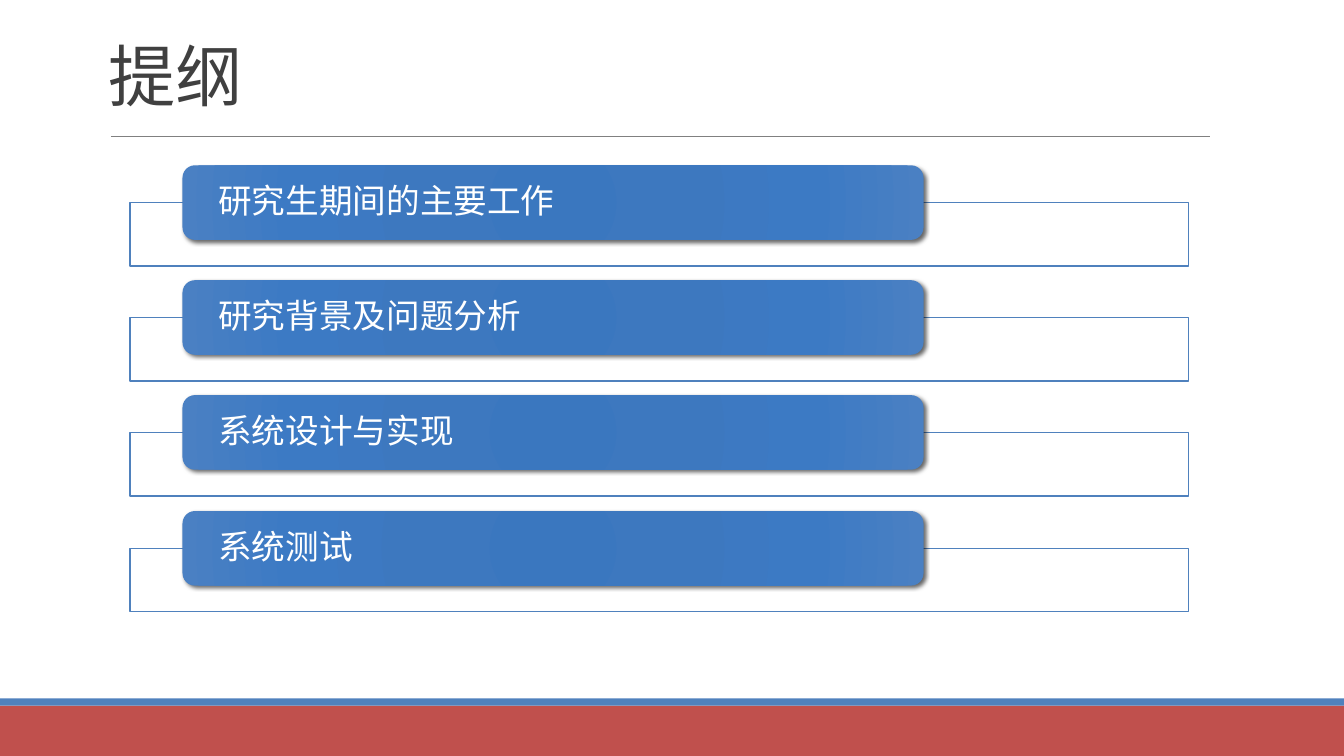
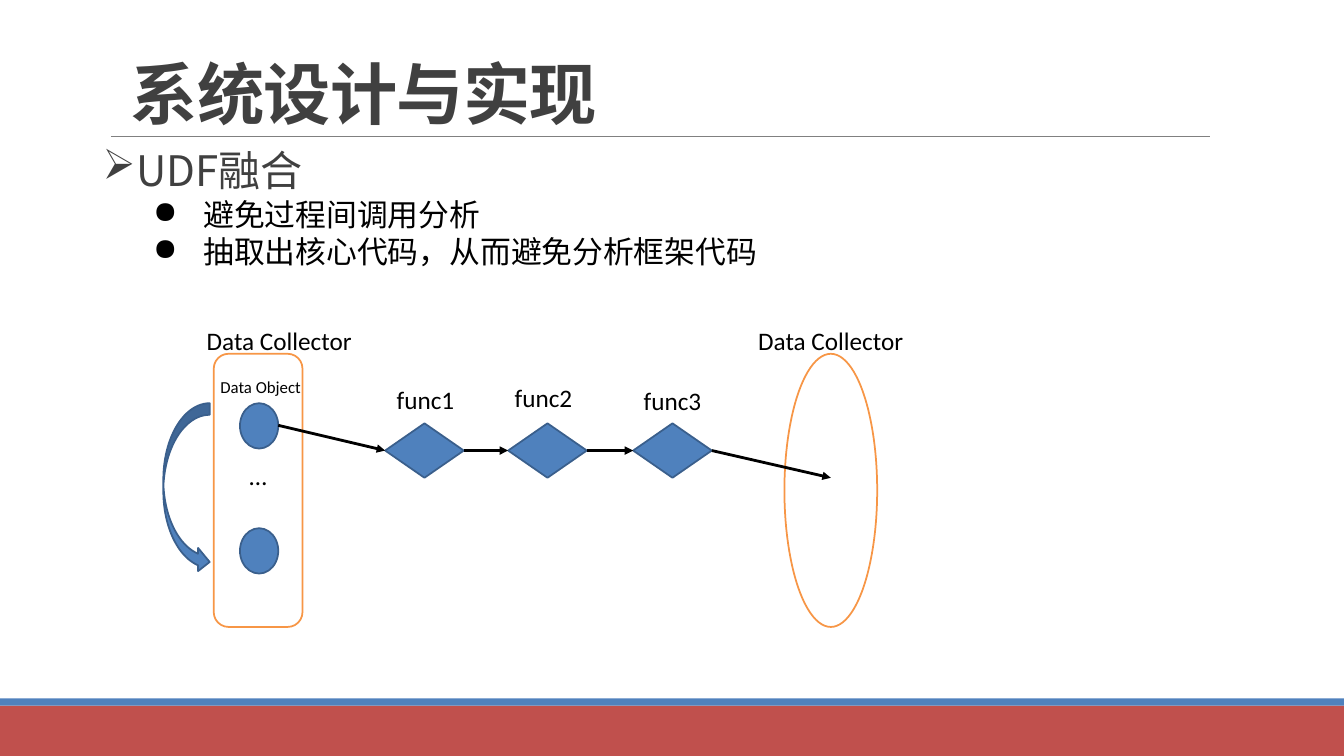
from dataclasses import dataclass, field
from typing import Any, NamedTuple, Optional

import pptx
import pptx.dml.color
import pptx.enum.shapes
import pptx.enum.text
import pptx.oxml
import pptx.oxml.ns
import pptx.util
from lxml import etree

RGB = pptx.dml.color.RGBColor
KIND = pptx.enum.shapes.MSO_SHAPE
ANCHOR = pptx.enum.text.MSO_ANCHOR
ALIGN = pptx.enum.text.PP_ALIGN
Pt = pptx.util.Pt
qn = pptx.oxml.ns.qn

WHITE = RGB(0xFF, 0xFF, 0xFF)
BLACK = RGB(0x00, 0x00, 0x00)
RED = RGB(0xC0, 0x50, 0x4D)
BLUE = RGB(0x4F, 0x81, 0xBD)
NAVY = RGB(0x3A, 0x5F, 0x8C)
AMBER = RGB(0xF7, 0x96, 0x46)
GRAY = RGB(0x80, 0x80, 0x80)
DARK = RGB(0x40, 0x40, 0x40)
STOPS = (
    (0, RGB(0x3A, 0x77, 0xBF)),
    (34, RGB(0x3D, 0x78, 0xBF)),
    (70, RGB(0x3C, 0x7A, 0xC4)),
    (100, RGB(0x4A, 0x80, 0xC3)),
)
NS = pptx.oxml.ns.nsdecls("a")
SCALE = 9144
WIDE, HIGH = 1333, 750


class Box(NamedTuple):
    x: int
    y: int
    w: int
    h: int


@dataclass
class Form:
    box: Box
    kind: Any = KIND.RECTANGLE
    fill: Optional[RGB] = BLUE
    edge: Optional[RGB] = None
    weight: float = 1.25


@dataclass
class Line:
    text: str
    font: dict
    para: dict = field(default_factory=dict)
    mark: str = ""
    left: int = 0
    hang: int = 0
    track: int = 0


def px(size: int) -> int:
    return size * SCALE


def style(item: Any, form: dict) -> None:
    for key, value in form.items():
        setattr(item, key, value)


def face(name: str, size: int, color: RGB, bold: bool = False) -> dict:
    return {"name": name, "size": Pt(size), "bold": bold, "color": color}


def write(shape: Any, lines: list[Line], frame: dict) -> None:
    body = shape.text_frame
    style(body, frame)
    for spot, line in enumerate(lines):
        para = body.add_paragraph() if spot else body.paragraphs[0]
        style(para, line.para)
        run = para.add_run()
        run.text = line.text
        style(run.font, {k: v for k, v in line.font.items() if k != "color"})
        run.font.color.rgb = line.font["color"]
        if line.track:
            run.font._element.set("spc", str(line.track))
        if line.mark:
            props = para._p.get_or_add_pPr()
            props.set("marL", str(px(line.left)))
            props.set("indent", str(-px(line.hang)))
            etree.SubElement(props, qn("a:buChar")).set("char", line.mark)


def draw(slide: Any, form: Form) -> Any:
    shape = slide.shapes.add_shape(form.kind, *map(px, form.box))
    shape.shadow.inherit = False
    if form.fill is None:
        shape.fill.background()
    else:
        shape.fill.solid()
        shape.fill.fore_color.rgb = form.fill
    if form.edge is None:
        shape.line.fill.background()
    else:
        shape.line.color.rgb = form.edge
        shape.line.width = Pt(form.weight)
    return shape


def label(slide: Any, box: Box, lines: list[Line], frame: dict) -> None:
    write(slide.shapes.add_textbox(*map(px, box)), lines, frame)


def link(slide: Any, start: tuple[int, int], end: tuple[int, int],
         color: RGB, weight: float, arrow: bool = False) -> Any:
    wire = slide.shapes.add_connector(
        pptx.enum.shapes.MSO_CONNECTOR.STRAIGHT, *map(px, start + end))
    wire.line.color.rgb = color
    wire.line.width = Pt(weight)
    props = wire.element.spPr
    if arrow:
        etree.SubElement(props.find(qn("a:ln")), qn("a:tailEnd")).set("type", "triangle")
    etree.SubElement(props, qn("a:effectLst"))
    return wire


def glow(shape: Any) -> None:
    props = shape.element.spPr
    stops = "".join(
        f'<a:gs pos="{spot * 1000}"><a:srgbClr val="{color}"/></a:gs>' for spot, color in STOPS)
    blend = pptx.oxml.parse_xml(
        f'<a:gradFill {NS} rotWithShape="1"><a:gsLst>{stops}</a:gsLst><a:path path="circle">'
        '<a:fillToRect l="100000" t="100000" r="100000" b="100000"/></a:path></a:gradFill>')
    props.replace(props.find(qn("a:noFill")), blend)
    props.find(qn("a:effectLst")).append(pptx.oxml.parse_xml(
        f'<a:outerShdw {NS} blurRad="{Pt(3)}" dist="{Pt(2)}" dir="2700000" rotWithShape="0">'
        f'<a:srgbClr val="{BLACK}"><a:alpha val="60000"/></a:srgbClr></a:outerShdw>'))


def start(deck: Any, title: str, box: Box, bold: bool = False) -> Any:
    slide = deck.slides.add_slide(deck.slide_layouts[6])
    draw(slide, Form(Box(0, 700, WIDE, 50), fill=RED))
    draw(slide, Form(Box(0, 693, WIDE, 7)))
    link(slide, (110, 135), (1200, 135), GRAY, 0.5)
    head = Line(title, face("Cambria", 48, DARK, bold), {"line_spacing": 0.85}, track=-50)
    label(slide, box, [head], {"word_wrap": True, "vertical_anchor": ANCHOR.BOTTOM})
    return slide


def agenda(deck: Any) -> None:
    slide = start(deck, "提纲", Box(98, 16, 1100, 103))
    topics = ("研究生期间的主要工作", "研究背景及问题分析", "系统设计与实现", "系统测试")
    frame = {
        "word_wrap": True, "vertical_anchor": ANCHOR.MIDDLE,
        "margin_left": px(32), "margin_right": px(32), "margin_top": 0, "margin_bottom": 0,
    }
    para = {"alignment": ALIGN.LEFT, "line_spacing": 0.9, "space_after": Pt(8)}
    for row, topic in enumerate(topics):
        top = 164 + row * 343 // 3
        draw(slide, Form(Box(129, top + 37, 1050, 63), fill=WHITE, edge=BLUE, weight=1))
        bar = draw(slide, Form(Box(181, top, 735, 74), KIND.ROUNDED_RECTANGLE, None))
        glow(bar)
        write(bar, [Line(topic, face("Calibri", 24, WHITE), para)], frame)


def design(deck: Any) -> None:
    slide = start(deck, "系统设计与实现", Box(120, 31, 1100, 106), True)
    points = [Line("UDF融合", face("Noto Sans CJK SC", 30, DARK),
                   {"line_spacing": Pt(36)}, "➢", 31, 31)]
    for text in ("避免过程间调用分析", "抽取出核心代码，从而避免分析框架代码"):
        points.append(Line(text, face("Times New Roman", 22, BLACK),
                           {"level": 1, "line_spacing": Pt(27)}, "●", 100, 50))
    label(slide, Box(92, 138, 1057, 135), points, {"word_wrap": True})

    mid = {"alignment": ALIGN.CENTER}
    plain = face("Calibri", 18, BLACK)
    store = draw(slide, Form(Box(212, 351, 88, 271), KIND.ROUNDED_RECTANGLE, WHITE, AMBER))
    write(store, [Line("…", plain, mid)],
          {"vertical_anchor": ANCHOR.MIDDLE, "margin_bottom": px(35)})
    for top in (400, 524):
        draw(slide, Form(Box(238, top, 38, 45), KIND.OVAL, edge=NAVY))
    steps = [draw(slide, Form(Box(left, 420, 78, 54), KIND.DIAMOND, edge=NAVY))
             for left in (382, 504, 628)]
    draw(slide, Form(Box(778, 351, 92, 271), KIND.OVAL, WHITE, AMBER))

    for prior, after in zip([None, *steps], [*steps, None]):
        wire = link(slide, (276, 422), (824, 474), BLACK, 2, True)
        if prior is not None:
            wire.begin_connect(prior, 3)
        if after is not None:
            wire.end_connect(after, 1)

    names = (
        ("Data Collector", Box(194, 318, 166, 40), 18),
        ("Data Collector", Box(741, 318, 166, 40), 18),
        ("func1", Box(383, 376, 78, 40), 18),
        ("func2", Box(500, 374, 78, 40), 18),
        ("func3", Box(628, 377, 78, 40), 18),
        ("Data Object", Box(208, 369, 101, 30), 12),
    )
    for text, box, size in names:
        label(slide, box, [Line(text, face("Calibri", size, BLACK), mid)], {"word_wrap": False})
    draw(slide, Form(Box(162, 400, 46, 169), KIND.CURVED_RIGHT_ARROW, edge=NAVY))


def main() -> None:
    deck = pptx.Presentation()
    style(deck, {"slide_width": px(WIDE), "slide_height": px(HIGH)})
    agenda(deck)
    design(deck)
    deck.save("out.pptx")


if __name__ == "__main__":
    main()
